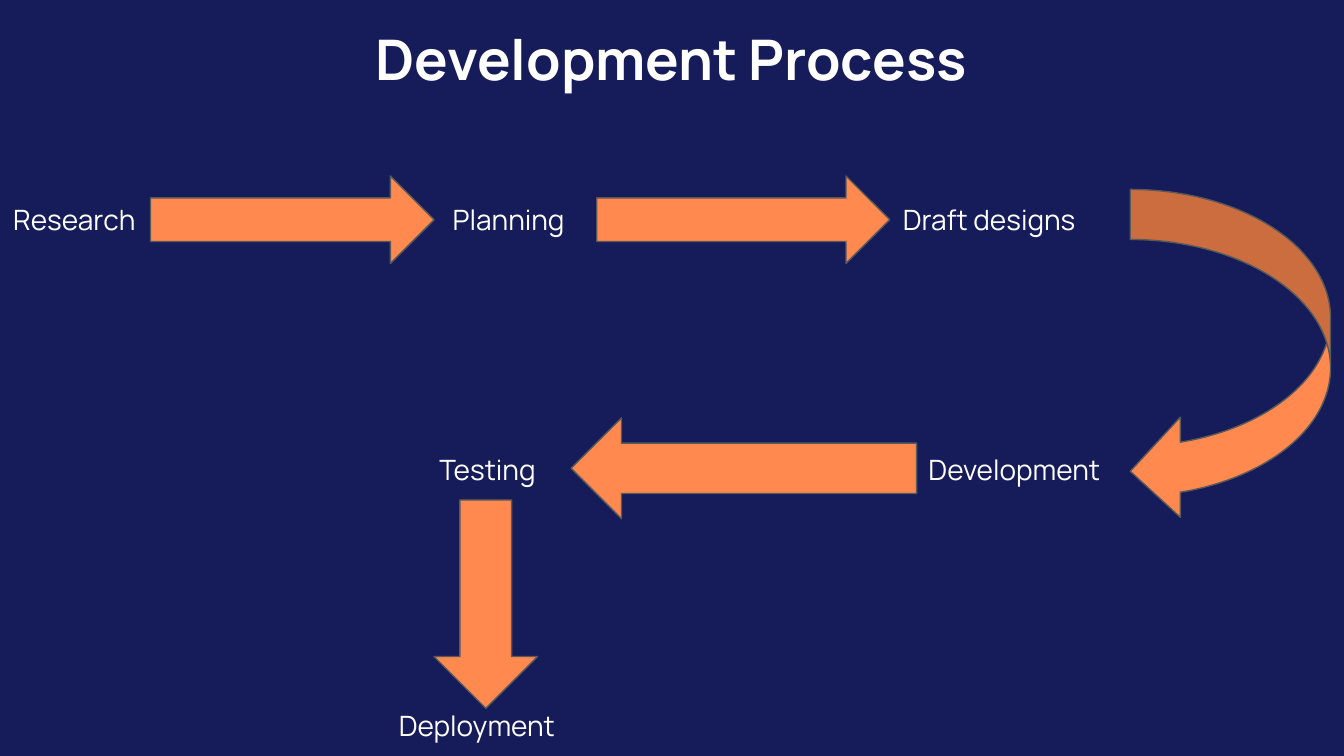
import pptx
import pptx.dml.color
import pptx.enum.shapes
import pptx.enum.text
import pptx.util

Inches = pptx.util.Inches
Pt = pptx.util.Pt
ARROW = pptx.enum.shapes.MSO_SHAPE

NAVY = pptx.dml.color.RGBColor(0x16, 0x1C, 0x5A)
ORANGE = pptx.dml.color.RGBColor(0xFF, 0x89, 0x4F)
GREY = pptx.dml.color.RGBColor(0x59, 0x59, 0x59)
WHITE = pptx.dml.color.RGBColor(0xFF, 0xFF, 0xFF)

FRAME_FORMAT = {
    "word_wrap": True,
    "margin_left": Inches(0.1),
    "margin_right": Inches(0.1),
    "margin_top": Inches(0.1),
    "margin_bottom": Inches(0.1),
    "vertical_anchor": pptx.enum.text.MSO_ANCHOR.TOP,
}
TITLE_FONT = {"name": "Manrope", "size": Pt(30), "bold": True}
STEP_FONT = {"name": "Manrope", "size": Pt(15), "bold": False}

TOP_ROW, MIDDLE_ROW, BOTTOM_ROW = 1.41, 3.27, 5.17
STEP_HEIGHT = 0.45

deck = pptx.Presentation()
deck.slide_width = Inches(10)
deck.slide_height = Inches(10) * 9 // 16
process = deck.slides.add_slide(deck.slide_layouts[6])
process.background.fill.solid()
process.background.fill.fore_color.rgb = NAVY


def add_label(wording, left, top, width, height, font_format):
    label = process.shapes.add_textbox(
        Inches(left), Inches(top), Inches(width), Inches(height))
    for attribute, value in FRAME_FORMAT.items():
        setattr(label.text_frame, attribute, value)
    paragraph = label.text_frame.paragraphs[0]
    run = paragraph.add_run()
    run.text = wording
    for attribute, value in font_format.items():
        setattr(run.font, attribute, value)
    run.font.color.rgb = WHITE
    return paragraph


title = add_label("Development Process", 0.42, 0.08, 9.15, 0.75, TITLE_FONT)
title.alignment = pptx.enum.text.PP_ALIGN.CENTER

for step, left, top, width in [
    ("Research", 0, TOP_ROW, 1.35),
    ("Planning", 3.27, TOP_ROW, 1.25),
    ("Draft designs", 6.62, TOP_ROW, 1.94),
    ("Development", 6.81, MIDDLE_ROW, 1.68),
    ("Testing", 3.17, MIDDLE_ROW, 1.08),
    ("Deployment", 2.87, BOTTOM_ROW, 1.68),
]:
    add_label(step, left, top, width, STEP_HEIGHT, STEP_FONT)

for direction, left, top, width, height in [
    (ARROW.RIGHT_ARROW, 1.12, 1.31, 2.11, 0.65),
    (ARROW.RIGHT_ARROW, 4.44, 1.31, 2.18, 0.65),
    (ARROW.CURVED_LEFT_ARROW, 8.41, 1.41, 1.49, 2.47),
    (ARROW.LEFT_ARROW, 4.25, 3.11, 2.57, 0.75),
    (ARROW.DOWN_ARROW, 3.23, 3.72, 0.77, 1.55),
]:
    transition = process.shapes.add_shape(
        direction, Inches(left), Inches(top), Inches(width), Inches(height))
    transition.shadow.inherit = False
    transition.fill.solid()
    transition.fill.fore_color.rgb = ORANGE
    transition.line.color.rgb = GREY
    transition.line.width = Pt(0.75)

deck.save("out.pptx")
